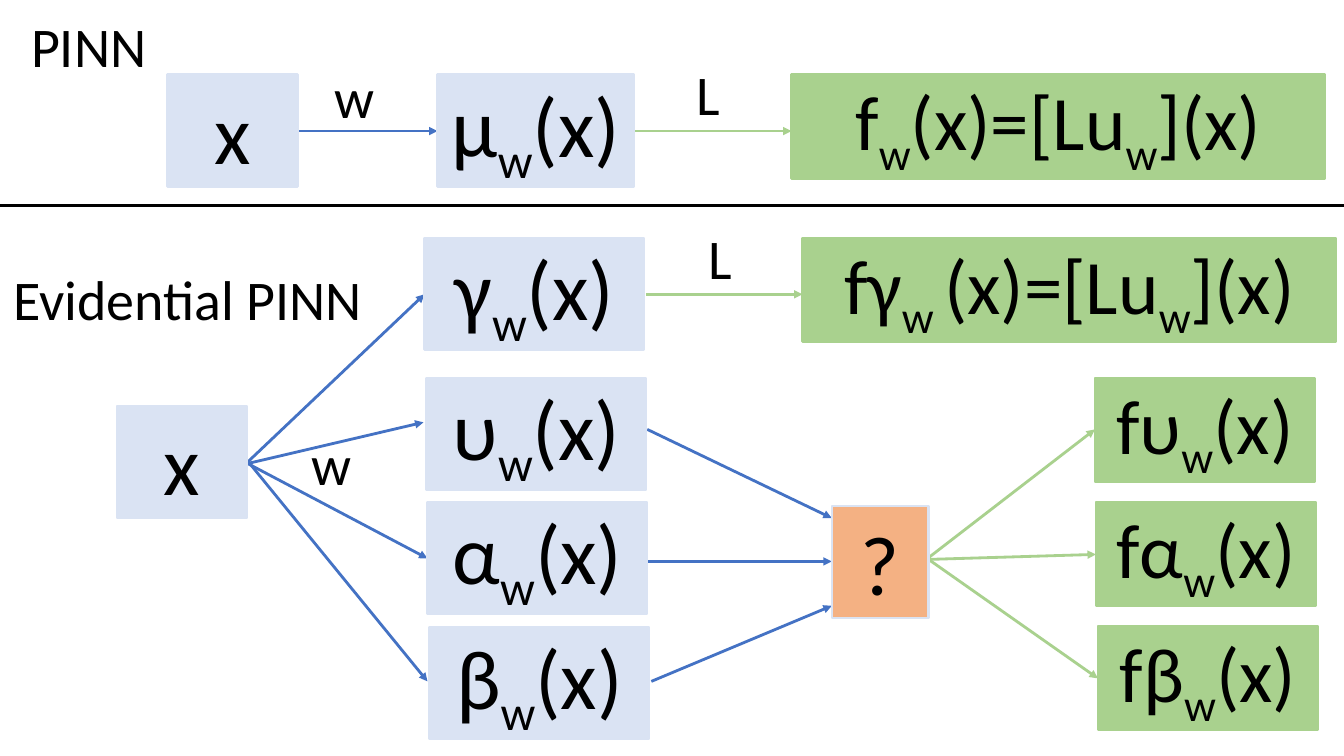
from dataclasses import dataclass
from lxml.etree import SubElement
from pptx import Presentation
from pptx.dml.color import RGBColor as RGB
from pptx.enum.shapes import MSO_CONNECTOR as Conn, MSO_SHAPE as Shape
from pptx.enum.text import MSO_ANCHOR as Anchor, MSO_AUTO_SIZE as Fit, PP_ALIGN as Align
from pptx.oxml.ns import qn
from pptx.util import Inches, Pt


@dataclass(frozen=True)
class Theme:
    font: str = "Calibri"
    ink: str = "000000"
    pale: str = "DAE3F3"
    blue: str = "4472C4"
    green: str = "A9D18E"
    orange: str = "F4B183"
    label: int = 40
    output: int = 55
    node: int = 60


look = Theme()
deck = Presentation()
deck.slide_width, deck.slide_height = Inches(13.33), Inches(7.5)
slide = deck.slides.add_slide(deck.slide_layouts[6])


def put(text, at, fill=None, edge=None, size=look.label):
    """Place text, in a filled box if fill is given; _w_ marks a subscript."""
    spot = [Inches(v) for v in at]
    if fill:
        item = slide.shapes.add_shape(Shape.RECTANGLE, *spot)
        item.shadow.inherit = False
        item.fill.solid()
        item.fill.fore_color.rgb = RGB.from_string(fill)
        item.line.color.rgb = RGB.from_string(edge or fill)
        item.line.width = Pt(1.75)
    else:
        item = slide.shapes.add_textbox(*spot)
    frame = item.text_frame
    frame.word_wrap = True
    frame.auto_size = Fit.SHAPE_TO_FIT_TEXT
    frame.vertical_anchor = Anchor.MIDDLE if fill else Anchor.TOP
    para = frame.paragraphs[0]
    para.alignment = Align.CENTER
    for n, part in enumerate(text.split("_")):
        run = para.add_run()
        run.text = part
        run.font.name, run.font.size = look.font, Pt(size)
        run.font.color.rgb = RGB.from_string(look.ink)
        if n % 2:
            run._r.get_or_add_rPr().set("baseline", "-25000")


def link(start, end, color, width=2, head=True):
    """Draw a straight line, with an arrowhead at its end if head is set."""
    ends = [Inches(v) for v in (*start, *end)]
    line = slide.shapes.add_connector(Conn.STRAIGHT, *ends)
    line.line.color.rgb = RGB.from_string(color)
    line.line.width = Pt(width)
    if head:
        SubElement(line.line._get_or_add_ln(), qn("a:tailEnd"), type="triangle")
    SubElement(line._element.spPr, qn("a:effectLst"))


# Arrows of the plain network
link((2.78, 1.3), (4.34, 1.3), look.blue)
link((6.3, 1.3), (7.85, 1.3), look.green)

# Arrows from the evidential input to its four parameters
for start, end in [((2.45, 4.59), (4.21, 2.92)), ((2.45, 4.6), (4.2, 4.19)),
                   ((2.46, 4.6), (4.24, 5.54)), ((2.47, 4.59), (4.24, 6.76))]:
    link(start, end, look.blue)

# Arrows into and out of the unknown operator
link((6.41, 2.92), (7.96, 2.92), look.green)
for start, end in [((6.42, 4.26), (8.25, 5.14)), ((6.42, 5.57), (8.25, 5.57)),
                   ((6.46, 6.76), (8.25, 6.01))]:
    link(start, end, look.blue)
for start, end in [((9.2, 5.54), (10.86, 4.26)), ((9.2, 5.55), (10.87, 5.5)),
                   ((9.21, 5.55), (10.89, 6.73))]:
    link(start, end, look.green)

# Inputs and parameters
tall, wide = 1.11, 2.18
for text, left, top, width in [("x", 1.66, 0.74, 1.29), ("μ_w_(x)", 4.34, 0.74, 1.95),
                               ("x", 1.16, 4.03, 1.29), ("γ_w_(x)", 4.21, 2.36, wide),
                               ("υ_w_(x)", 4.23, 3.75, wide), ("α_w_(x)", 4.24, 4.98, wide),
                               ("β_w_(x)", 4.26, 6.22, wide)]:
    put(text, (left, top, width, tall), fill=look.pale, size=look.node)
put("?", (8.25, 5.02, 0.96, tall), fill=look.orange, edge=look.pale, size=look.node)

# Outputs
low, long = 1.03, 5.29
for text, left, top, width in [("f_w_(x)=[Lu_w_](x)", 7.85, 0.74, long),
                               ("fγ_w _(x)=[Lu_w_](x)", 7.96, 2.36, long),
                               ("fυ_w_(x)", 10.86, 3.75, wide),
                               ("fα_w_(x)", 10.87, 4.98, wide),
                               ("fβ_w_(x)", 10.89, 6.21, wide)]:
    put(text, (left, top, width, low), fill=look.green, size=look.output)

# Headings and arrow labels
for text, left, top, width in [("PINN", -0.37, 0.07, 2.5), ("Evidential PINN", -0.2, 2.58, 4.12),
                               ("w", 3.21, 0.57, 0.62), ("L", 6.68, 0.54, 0.69),
                               ("w", 2.94, 4.21, 0.69), ("L", 6.8, 2.17, 0.69)]:
    put(text, (left, top, width, 0.77))

# Divider between the two networks
link((0, 2.04), (13.33, 2.04), look.ink, width=2.25, head=False)

deck.save("out.pptx")
